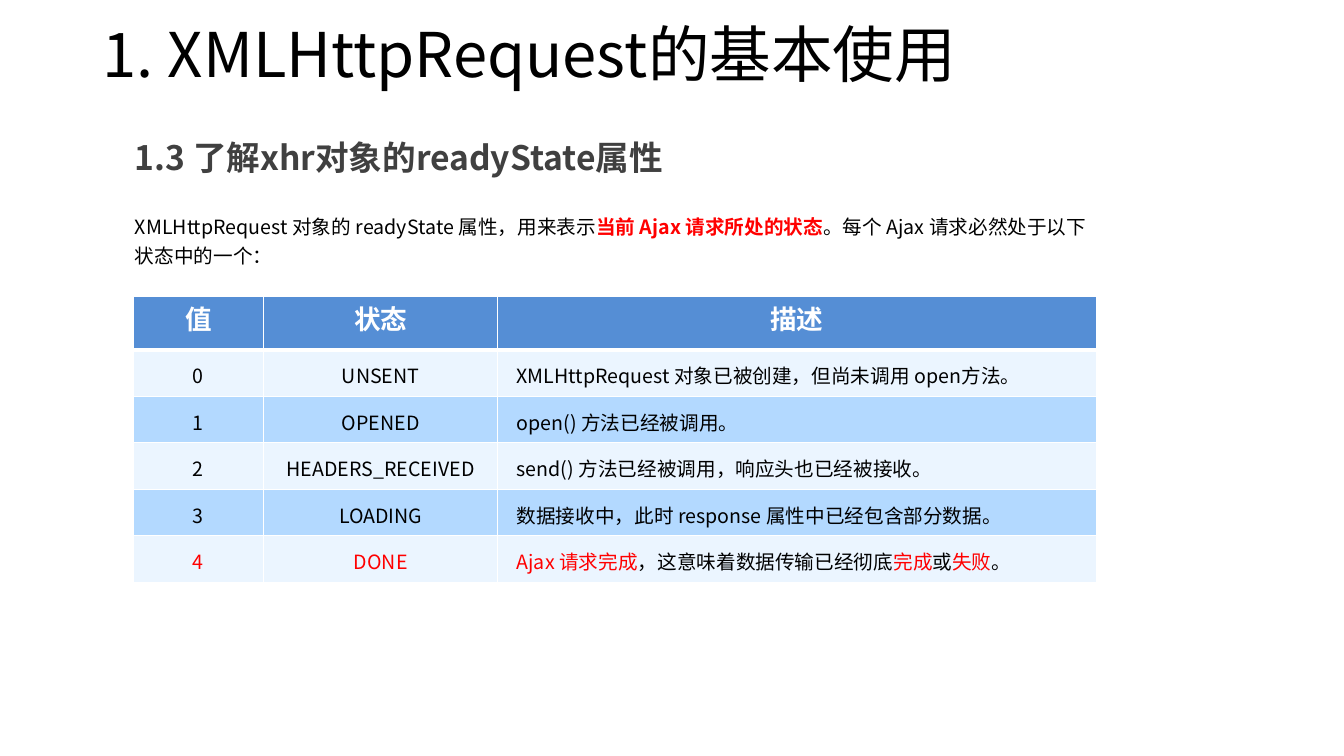
import pptx
import pptx.util
import pptx.dml.color
import pptx.enum.text
import pptx.oxml
import pptx.oxml.ns

Cm = pptx.util.Cm
Pt = pptx.util.Pt
RGBColor = pptx.dml.color.RGBColor
ALIGN = pptx.enum.text.PP_ALIGN
ANCHOR = pptx.enum.text.MSO_ANCHOR

FONT = "Noto Sans CJK SC"
BLACK = RGBColor(0x00, 0x00, 0x00)
WHITE = RGBColor(0xFF, 0xFF, 0xFF)
RED = RGBColor(0xFF, 0x00, 0x00)
GRAY = RGBColor(0x40, 0x40, 0x40)
HEADER_BLUE = RGBColor(0x55, 0x8E, 0xD5)
BAND_FILLS = [RGBColor(0xEB, 0xF5, 0xFF), RGBColor(0xB3, 0xD9, 0xFF)]


def write_runs(paragraph, runs, size):
    for text, color, bold in runs:
        run = paragraph.add_run()
        run.text = text
        for name, value in {"name": FONT, "size": Pt(size), "bold": bold}.items():
            setattr(run.font, name, value)
        run.font.color.rgb = color
        east_asian = pptx.oxml.parse_xml(
            f'<a:ea {pptx.oxml.ns.nsdecls("a")} typeface="{FONT}"/>')
        run.font._element.find(pptx.oxml.ns.qn("a:latin")).addnext(east_asian)


def add_border(cell, side, width):
    cell._tc.get_or_add_tcPr().append(pptx.oxml.parse_xml(
        f'<a:{side} {pptx.oxml.ns.nsdecls("a")} w="{Pt(width)}">'
        f'<a:solidFill><a:srgbClr val="{WHITE}"/></a:solidFill></a:{side}>'))


presentation = pptx.Presentation()
presentation.slide_width = Cm(33.87)
presentation.slide_height = Cm(19.05)
slide = presentation.slides.add_slide(presentation.slide_layouts[6])

text_boxes = [
    ((2.34, 0, 24.94, 2.92), ANCHOR.MIDDLE, 0.9, 44,
     [("1. XMLHttpRequest的基本使用", BLACK, False)]),
    ((3.15, 3.45, 24.13, 2.01), ANCHOR.TOP, 0.9, 24,
     [("1.3 了解xhr对象的readyState属性", GRAY, True)]),
    ((3.15, 5.16, 24.94, 2.21), ANCHOR.TOP, 1.23, 14,
     [("XMLHttpRequest 对象的 readyState 属性，用来表示", BLACK, False),
      ("当前 Ajax 请求所处的状态", RED, True),
      ("。每个 Ajax 请求必然处于以下状态中的一个：", BLACK, False)]),
]
for box, anchor, line_spacing, size, runs in text_boxes:
    text_frame = slide.shapes.add_textbox(*map(Cm, box)).text_frame
    text_frame.word_wrap = True
    text_frame.vertical_anchor = anchor
    paragraph = text_frame.paragraphs[0]
    paragraph.line_spacing = line_spacing
    write_runs(paragraph, runs, size)

headings = ["值", "状态", "描述"]
states = [
    ("0", "UNSENT", "XMLHttpRequest 对象已被创建，但尚未调用 open方法。"),
    ("1", "OPENED", "open() 方法已经被调用。"),
    ("2", "HEADERS_RECEIVED", "send() 方法已经被调用，响应头也已经被接收。"),
    ("3", "LOADING", "数据接收中，此时 response 属性中已经包含部分数据。"),
]
rows = [[[(text, WHITE, True)] for text in headings]]
rows += [[[(text, BLACK, False)] for text in state] for state in states]
rows.append([
    [("4", RED, False)],
    [("DONE", RED, False)],
    [("Ajax 请求完成", RED, False), ("，这意味着数据传输已经彻底", BLACK, False),
     ("完成", RED, False), ("或", BLACK, False), ("失败", RED, False),
     ("。", BLACK, False)],
])

column_widths = [3.3, 5.89, 15.09]
header_height, state_height = 1.35, 1.17
header_format = {
    "margin_left": Cm(0.33), "margin_right": Cm(0.33),
    "margin_top": Cm(0.18), "margin_bottom": Cm(0.18),
    "vertical_anchor": ANCHOR.TOP,
}
state_format = {
    "margin_left": Cm(0.48), "margin_right": Cm(0.48),
    "margin_top": Cm(0.28), "margin_bottom": Cm(0.28),
    "vertical_anchor": ANCHOR.MIDDLE,
}

table = slide.shapes.add_table(
    len(rows), len(column_widths), Cm(3.35), Cm(7.47), Cm(sum(column_widths)),
    Cm(header_height + state_height * (len(rows) - 1))).table
for column, width in zip(table.columns, column_widths):
    column.width = Cm(width)

for row_index, row in enumerate(rows):
    is_header = row_index == 0
    table.rows[row_index].height = Cm(header_height if is_header else state_height)
    for column_index, runs in enumerate(row):
        cell = table.cell(row_index, column_index)
        cell_format = header_format if is_header else state_format
        for name, value in cell_format.items():
            setattr(cell, name, value)
        add_border(cell, "lnL", 1)
        add_border(cell, "lnR", 1)
        add_border(cell, "lnT", 3 if row_index == 1 else 1)
        add_border(cell, "lnB", 3 if is_header else 1)
        cell.fill.solid()
        cell.fill.fore_color.rgb = (
            HEADER_BLUE if is_header else BAND_FILLS[(row_index - 1) % 2])
        paragraph = cell.text_frame.paragraphs[0]
        is_centered = is_header or column_index < 2
        paragraph.alignment = ALIGN.CENTER if is_centered else ALIGN.LEFT
        if is_header:
            paragraph.line_spacing = Pt(24)
        write_runs(paragraph, runs, 19 if is_header else 14)

presentation.save("out.pptx")
